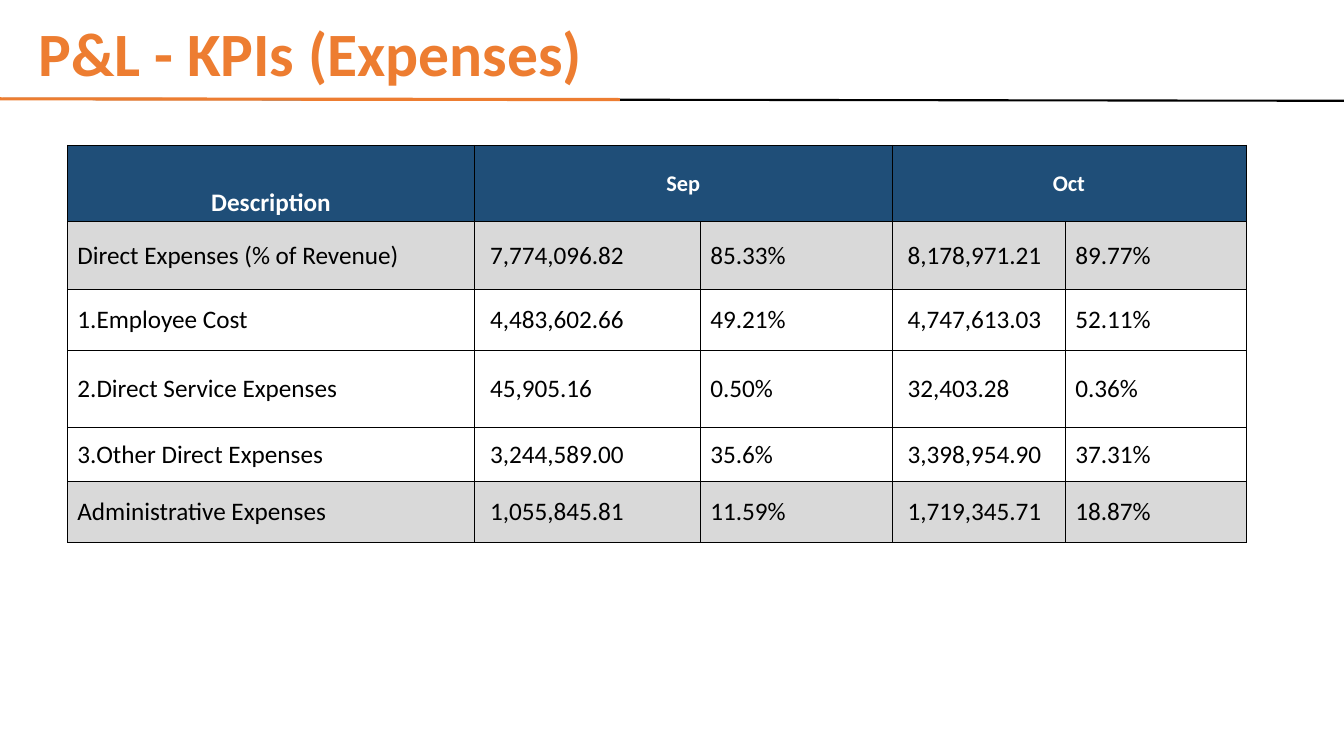
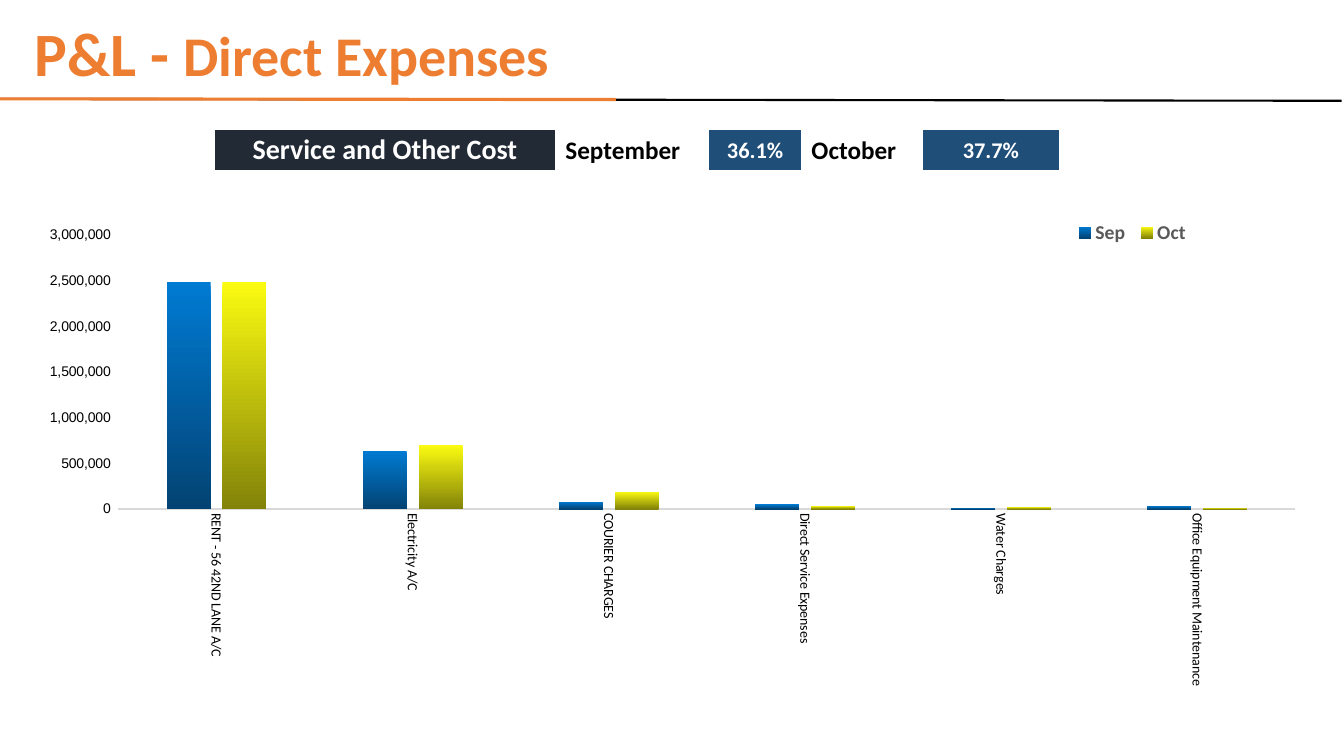
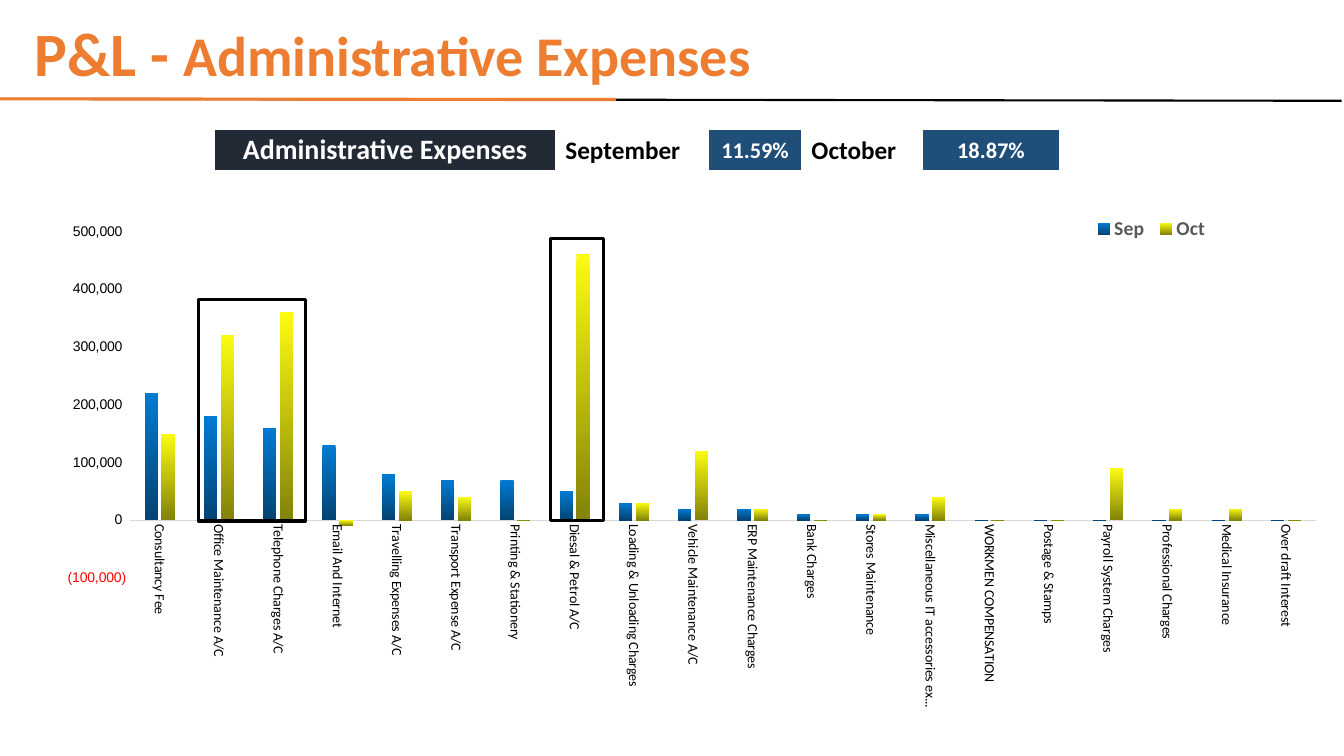
from lxml.etree import SubElement
from pptx import Presentation
from pptx.chart.data import CategoryChartData
from pptx.dml.color import RGBColor
from pptx.enum.chart import XL_CHART_TYPE as ChartType, XL_LEGEND_POSITION as LegendPos, XL_TICK_MARK as Tick
from pptx.enum.shapes import MSO_CONNECTOR as Connector, MSO_SHAPE as Preset
from pptx.enum.text import MSO_ANCHOR as Anchor, MSO_AUTO_SIZE as AutoSize, PP_ALIGN as Align
from pptx.oxml.ns import qn
from pptx.util import Cm, Pt

COLOURS = {
    "accent": "ED7D31", "ink": "000000", "paper": "FFFFFF",
    "header": "1F4E78", "share": "1F4E79", "label": "222A35",
    "total": "D9D9D9", "axis": "D9D9D9", "legend": "595959",
}
MONTH_GRADIENTS = {"Sep": ("007BD3", "034373"), "Oct": ("FBFB11", "838309")}
LEGEND_BOX = (0.82, 0.05, 0.1, 0.07)


def rgb(name):
    return RGBColor.from_string(COLOURS.get(name, name))


class Report:
    font = "Calibri"

    def __init__(self):
        self.deck = Presentation()
        self.deck.slide_width, self.deck.slide_height = Cm(33.87), Cm(19.05)
        self.slide = None

    def style(self, font, size, colour, bold=False, face=None):
        font.name, font.size, font.bold = face or self.font, Pt(size), bold
        font.color.rgb = rgb(colour)

    def start(self, topic, topic_size, shift=0):
        self.slide = self.deck.slides.add_slide(self.deck.slide_layouts[5])
        self.rule(0.08 + shift, 2.49, 33.91 + shift, 2.54, "ink", 1.5)
        title = self.slide.shapes.title
        title.left, title.top, title.width, title.height = Cm(0.71 + shift), Cm(0.28), Cm(25.3), Cm(2.31)
        frame = title.text_frame
        frame.auto_size, frame.vertical_anchor = AutoSize.NONE, Anchor.MIDDLE
        frame.text = "P&L - "
        heading = frame.paragraphs[0]
        heading.alignment, heading.line_spacing = Align.LEFT, 0.9
        heading.add_run().text = topic
        for run, size in zip(heading.runs, (44, topic_size)):
            self.style(run.font, size, "accent", True)
        self.rule(shift, 2.49, 15.62 + shift, 2.51, "accent", 2.25)

    def rule(self, x1, y1, x2, y2, colour, weight):
        line = self.slide.shapes.add_connector(Connector.STRAIGHT, Cm(x1), Cm(y1), Cm(x2), Cm(y2))
        line.line.color.rgb, line.line.width = rgb(colour), Pt(weight)
        SubElement(line._element.spPr, qn("a:effectLst"))

    def highlight(self, left, top, width, height):
        frame = self.slide.shapes.add_shape(Preset.RECTANGLE, Cm(left), Cm(top), Cm(width), Cm(height))
        frame.shadow.inherit = False
        frame.fill.background()
        frame.line.color.rgb, frame.line.width = rgb("ink"), Pt(2.25)

    def table(self, left, top, widths, heights):
        holder = self.slide.shapes.add_table(
            len(heights), len(widths), Cm(left), Cm(top), Cm(sum(widths)), Cm(sum(heights)))
        grid = holder.table
        grid.first_row = grid.horz_banding = False
        for column, width in zip(grid.columns, widths):
            column.width = Cm(width)
        for row, height in zip(grid.rows, heights):
            row.height = Cm(height)
        return grid

    def cell(self, cell, text, size, colour, fill, border, bold=False,
             align=Align.LEFT, anchor=Anchor.MIDDLE, indent=0.25):
        border_colour, weights = border
        properties = cell._tc.get_or_add_tcPr()
        for side, weight in zip("LRTB", weights):
            edge = SubElement(properties, qn(f"a:ln{side}"), w=str(Pt(weight)))
            paint = SubElement(edge, qn("a:solidFill"))
            SubElement(paint, qn("a:srgbClr"), val=COLOURS[border_colour])
        cell.fill.solid()
        cell.fill.fore_color.rgb = rgb(fill)
        cell.vertical_anchor, cell.margin_left = anchor, Cm(indent)
        cell.margin_top = cell.margin_bottom = Cm(0.1)
        cell.text_frame.text = text
        paragraph = cell.text_frame.paragraphs[0]
        paragraph.alignment = align
        for run in paragraph.runs:
            self.style(run.font, size, colour, bold)

    def expense_table(self, rows):
        grid = self.table(1.7, 3.66, (10.26, 5.69, 4.83, 4.37, 4.55), (1.93, 1.7, 1.55, 1.93, 1.37, 1.52))
        border = ("ink", (0.75,) * 4)
        for column, text in enumerate(("Description", "Sep", "", "Oct", "")):
            first = column == 0
            self.cell(grid.cell(0, column), text, 18 if first else 16, "paper", "header", border, True,
                      Align.CENTER, Anchor.BOTTOM if first else Anchor.MIDDLE)
        for column in (1, 3):
            grid.cell(0, column).merge(grid.cell(0, column + 1))
        for number, values in enumerate(rows, 1):
            fill = "total" if number in (1, len(rows)) else "paper"
            for column, text in enumerate(values):
                self.cell(grid.cell(number, column), text, 18, "ink", fill, border,
                          indent=0.39 if column in (1, 3) else 0.25)

    def share_strip(self, label, september, october):
        grid = self.table(5.41, 3.25, (8.59, 3.86, 2.34, 3.05, 3.45), (1.08,))
        entries = (
            (label, 20, "paper", "label", Align.CENTER),
            ("September", 18, "ink", "paper", Align.LEFT),
            (september, 16, "paper", "share", Align.CENTER),
            ("October", 18, "ink", "paper", Align.LEFT),
            (october, 16, "paper", "share", Align.CENTER),
        )
        for column, (text, size, colour, fill, align) in enumerate(entries):
            self.cell(grid.cell(0, column), text, size, colour, fill, ("paper", (1, 1, 1, 3)), True, align)

    def place(self, part, index, box, inner=False):
        for old in part.findall(qn("c:layout")):
            part.remove(old)
        layout = part.makeelement(qn("c:layout"))
        part.insert(index, layout)
        manual = SubElement(layout, qn("c:manualLayout"))
        if inner:
            SubElement(manual, qn("c:layoutTarget"), val="inner")
        for mode in ("xMode", "yMode"):
            SubElement(manual, qn(f"c:{mode}"), val="edge")
        for key, value in zip("xywh", box):
            SubElement(manual, qn(f"c:{key}"), val=str(value))

    def month_chart(self, box, expenses, plot_height, scale):
        data = CategoryChartData()
        data.categories = [name for name, *_ in expenses]
        for position, month in enumerate(MONTH_GRADIENTS, 1):
            data.add_series(month, [row[position] for row in expenses])
        chart = self.slide.shapes.add_chart(
            ChartType.COLUMN_CLUSTERED, *(Cm(length) for length in box), data).chart
        self.style(chart.font, 10, "ink")
        chart.has_title = False
        chart.has_legend = True
        chart.legend.position, chart.legend.include_in_layout = LegendPos.BOTTOM, False
        self.style(chart.legend.font, 14, "legend", True)
        plot = chart.plots[0]
        plot.gap_width, plot.overlap, plot.vary_by_categories = 219, -27, False
        for series in plot.series:
            series.invert_if_negative = False
            fill = series.format.fill
            fill.gradient()
            fill.gradient_angle = 270
            for stop, colour in zip(fill.gradient_stops, MONTH_GRADIENTS[series.name]):
                stop.color.rgb = rgb(colour)
        names, amounts = chart.category_axis, chart.value_axis
        for axis, face in ((names, self.font), (amounts, "Arial")):
            axis.major_tick_mark = axis.minor_tick_mark = Tick.NONE
            axis.has_major_gridlines = False
            self.style(axis.tick_labels.font, 10, "ink", face=face)
        names.format.line.color.rgb, names.format.line.width = rgb("axis"), Pt(0.75)
        turned = names._element.find(qn("c:txPr")).find(qn("a:bodyPr"))
        turned.set("rot", "5400000")
        turned.set("vert", "horz")
        amounts.format.line.fill.background()
        amounts.minimum_scale, amounts.maximum_scale, amounts.major_unit = scale
        amounts.tick_labels.number_format = r"#,##0_);[Red]\(#,##0\)"
        amounts.tick_labels.number_format_is_linked = False
        root = chart.element.find(qn("c:chart"))
        self.place(root.find(qn("c:plotArea")), 0, (0.06, 0.09, 0.94, plot_height), True)
        self.place(root.find(qn("c:legend")), 1, LEGEND_BOX)


EXPENSE_ROWS = (
    ("Direct Expenses (% of Revenue)", "7,774,096.82", "85.33%", "8,178,971.21", "89.77%"),
    ("1.Employee Cost", "4,483,602.66", "49.21%", "4,747,613.03", "52.11%"),
    ("2.Direct Service Expenses", "45,905.16", "0.50%", "32,403.28", "0.36%"),
    ("3.Other Direct Expenses", "3,244,589.00", "35.6%", "3,398,954.90", "37.31%"),
    ("Administrative Expenses", "1,055,845.81", "11.59%", "1,719,345.71", "18.87%"),
)
DIRECT = (
    ("RENT - 56 42ND LANE A/C", 2490000, 2490000),
    ("Electricity A/C", 640000, 700000),
    ("COURIER CHARGES", 80000, 190000),
    ("Direct Service Expenses", 50000, 30000),
    ("Water Charges", 10000, 20000),
    ("Office Equipment Maintenance", 30000, 10000),
)
ADMINISTRATIVE = (
    ("Consultancy Fee", 220000, 150000),
    ("Office Maintenance A/C", 180000, 320000),
    ("Telephone Charges A/C", 160000, 360000),
    ("Email And Internet", 130000, -10000),
    ("Travelling Expenses A/C", 80000, 50000),
    ("Transport Expense A/C", 70000, 40000),
    ("Printing & Stationery", 70000, 0),
    ("Diesal & Petrol A/C", 50000, 460000),
    ("Loading & Unloading Charges", 30000, 30000),
    ("Vehicle Maintenance A/C", 20000, 120000),
    ("ERP Maintenance Charges", 20000, 20000),
    ("Bank Charges", 10000, 0),
    ("Stores Maintenance", 10000, 10000),
    ("Miscellaneous IT accessories expenses", 10000, 40000),
    ("WORKMEN COMPENSATION", 0, 0),
    ("Postage & Stamps", 0, 0),
    ("Payroll System Charges", 0, 90000),
    ("Professional Charges", 0, 20000),
    ("Medical Insurance", 0, 20000),
    ("Over draft Interest", 0, 0),
)


def main():
    report = Report()

    report.start("KPIs (Expenses)", 44)
    report.expense_table(EXPENSE_ROWS)

    report.start("Direct Expenses", 40, -0.1)
    report.share_strip("Service and Other Cost", "36.1%", "37.7%")
    report.month_chart((1.09, 4.75, 31.57, 13.03), DIRECT, 0.53, (0, 3000000, 500000))

    report.start("Administrative Expenses", 40, -0.1)
    report.share_strip("Administrative Expenses", "11.59%", "18.87%")
    report.month_chart((1.37, 4.62, 31.8, 13.44), ADMINISTRATIVE, 0.65, (-100000, 500000, 100000))
    report.highlight(5, 7.54, 2.69, 5.59)
    report.highlight(13.87, 6.02, 1.35, 7.09)

    report.deck.save("out.pptx")


if __name__ == "__main__":
    main()
